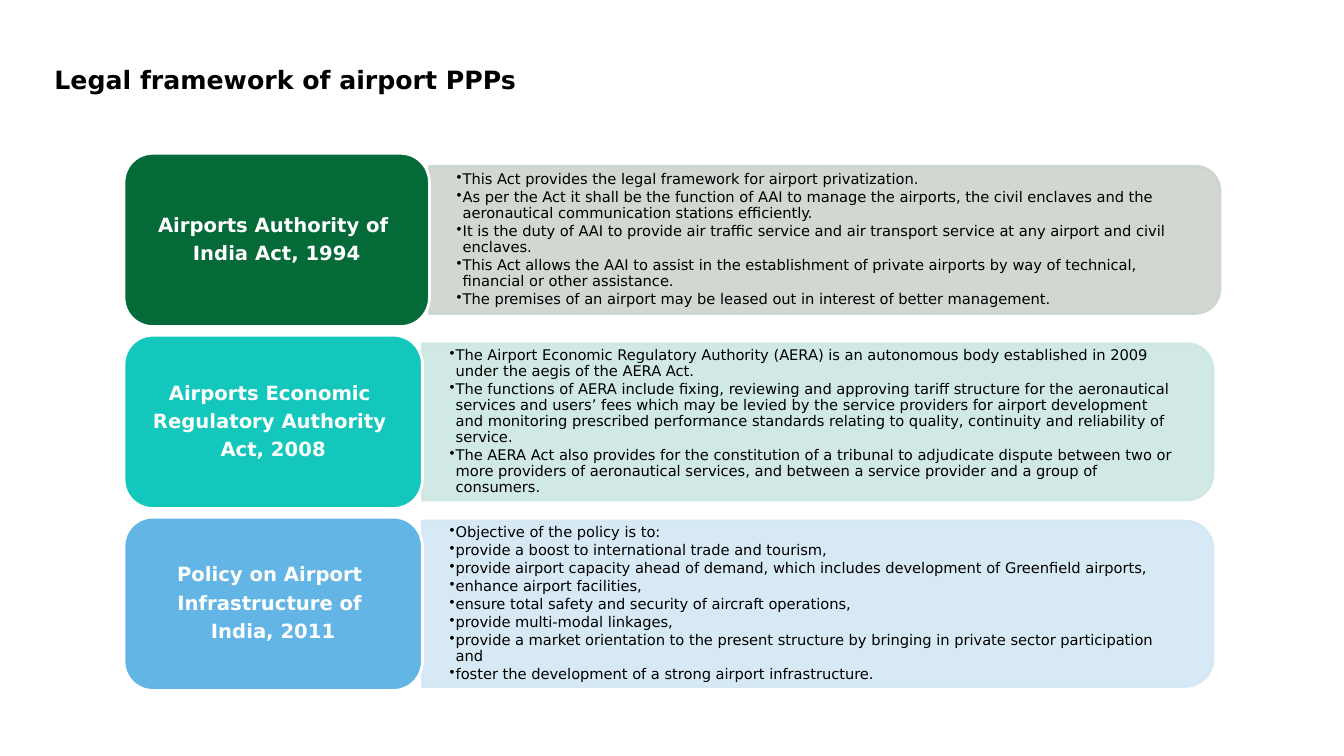
from dataclasses import dataclass

from lxml import etree
from pptx import Presentation
from pptx import util as u
from pptx.dml.color import RGBColor
from pptx.enum import shapes, text
from pptx.oxml.ns import qn

TITLE = "Legal framework of airport PPPs"
# heading lines, card colour, panel colour, card width, panel height, points
LAWS = [
    (["Airports Authority of ", "India Act, 1994"], "046A38", "CCD4CE", 3.03, 1.46, [
        "This Act provides the legal framework for airport privatization.",
        "As per the Act it shall be the function of AAI to manage the airports, the civil "
        "enclaves and the aeronautical communication stations efficiently.",
        "It is the duty of AAI to provide air traffic service and air transport service at "
        "any airport and civil enclaves.",
        "This Act allows the AAI to assist in the establishment of private airports by way "
        "of technical, financial or other assistance.",
        "The premises of an airport may be leased out in interest of better management.",
    ]),
    (["Airports Economic ", "Regulatory Authority ", "Act, 2008"],
     "14C7BC", "CDE7E3", 2.96, 1.55, [
        "The Airport Economic Regulatory Authority (AERA) is an autonomous body established "
        "in 2009 under the aegis of the AERA Act.",
        "The functions of AERA include fixing, reviewing and approving tariff structure for "
        "the aeronautical services and users’ fees which may be levied by the service "
        "providers for airport development and monitoring prescribed performance standards "
        "relating to quality, continuity and reliability of service.",
        "The AERA Act also provides for the constitution of a tribunal to adjudicate dispute "
        "between two or more providers of aeronautical services, and between a service "
        "provider and a group of consumers.",
    ]),
    (["Policy on Airport ", "Infrastructure of ", "India, 2011"],
     "62B5E5", "D3E7F5", 2.96, 1.64, [
        "Objective of the policy is to:",
        "provide a boost to international trade and tourism,",
        "provide airport capacity ahead of demand, which includes development of Greenfield "
        "airports,",
        "enhance airport facilities,",
        "ensure total safety and security of aircraft operations,",
        "provide multi-modal linkages,",
        "provide a market orientation to the present structure by bringing in private sector "
        "participation and",
        "foster the development of a strong airport infrastructure.",
    ]),
]


@dataclass(frozen=True)
class Theme:
    font: str = "DejaVu Sans"
    dark: str = "000000"
    light: str = "FFFFFF"
    title: float = 18
    heading: float = 14
    body: float = 10.5
    outline: float = 2
    opacity: int = 90


THEME = Theme()
CARD_LEFT, CARD_TOP, CARD_HEIGHT, ROW_STEP = 1.23, 1.52, 1.72, 1.805
PANEL_WIDTH, TEXT_WIDTH = 7.84, 7.77


def add_run(para, words, size, colour, bold=False):
    span = para.add_run()
    span.text = words
    span.font.name = THEME.font
    span.font.size = u.Pt(size)
    span.font.bold = bold
    span.font.color.rgb = RGBColor.from_string(colour)


def set_frame(frame, side, end, anchor):
    frame.word_wrap = True
    frame.vertical_anchor = anchor
    frame.margin_left = frame.margin_right = u.Inches(side)
    frame.margin_top = frame.margin_bottom = u.Inches(end)


def add_lines(frame, lines, size, colour, gap, bold=False, bullet=False):
    for index, words in enumerate(lines):
        para = frame.add_paragraph() if index else frame.paragraphs[0]
        para.alignment = text.PP_ALIGN.LEFT if bullet else text.PP_ALIGN.CENTER
        if bullet:
            para.level = 1
            props = para._p.get_or_add_pPr()
            props.set("marL", str(u.Inches(0.06)))
            props.set("indent", str(u.Inches(-0.06)))
            etree.SubElement(props, qn("a:buChar")).set("char", "•")
        para.line_spacing = 0.9
        para.space_after = u.Pt(gap)
        add_run(para, words, size, colour, bold)


def add_block(page, kind, left, top, width, height, fill, line):
    block = page.shapes.add_shape(
        kind, u.Inches(left), u.Inches(top), u.Inches(width), u.Inches(height))
    block.shadow.inherit = False
    block.fill.solid()
    block.fill.fore_color.rgb = RGBColor.from_string(fill)
    block.line.color.rgb = RGBColor.from_string(line)
    block.line.width = u.Pt(THEME.outline)
    return block


def add_law(page, row, law):
    heading, card_colour, panel_colour, card_width, panel_height, points = law
    top = CARD_TOP + row * ROW_STEP
    middle = top + CARD_HEIGHT / 2
    panel_left = CARD_LEFT + card_width

    # Panel: turned a quarter so that its rounded corners face right
    panel = add_block(
        page, shapes.MSO_SHAPE.ROUND_2_SAME_RECTANGLE,
        panel_left + (PANEL_WIDTH - panel_height) / 2, middle - PANEL_WIDTH / 2,
        panel_height, PANEL_WIDTH, panel_colour, panel_colour)
    panel.rotation = 90
    for colour in panel._element.spPr.iter(qn("a:srgbClr")):
        etree.SubElement(colour, qn("a:alpha")).set("val", str(THEME.opacity * 1000))

    # Points
    text_height = panel_height - 0.15
    box = page.shapes.add_textbox(
        u.Inches(panel_left), u.Inches(middle - text_height / 2),
        u.Inches(TEXT_WIDTH), u.Inches(text_height))
    set_frame(box.text_frame, 0.27, 0.14, text.MSO_ANCHOR.MIDDLE)
    add_lines(box.text_frame, points, THEME.body, THEME.dark, 1.6, bullet=True)

    # Heading card
    card = add_block(page, shapes.MSO_SHAPE.ROUNDED_RECTANGLE, CARD_LEFT, top,
                     card_width, CARD_HEIGHT, card_colour, THEME.light)
    set_frame(card.text_frame, 0.06, 0.03, text.MSO_ANCHOR.MIDDLE)
    add_lines(card.text_frame, heading, THEME.heading, THEME.light, 5, bold=True)


def main():
    deck = Presentation()
    deck.slide_width, deck.slide_height = u.Inches(13.33), u.Inches(7.5)
    page = deck.slides.add_slide(deck.slide_layouts[5])

    # Title
    title = page.shapes.title
    title.left, title.top = u.Inches(0.54), u.Inches(0.64)
    title.width, title.height = u.Inches(12.25), u.Inches(0.76)
    set_frame(title.text_frame, 0, 0, text.MSO_ANCHOR.TOP)
    para = title.text_frame.paragraphs[0]
    para.alignment = text.PP_ALIGN.LEFT
    add_run(para, TITLE, THEME.title, THEME.dark, bold=True)

    # One row per law
    for row, law in enumerate(LAWS):
        add_law(page, row, law)

    deck.save("out.pptx")


if __name__ == "__main__":
    main()
